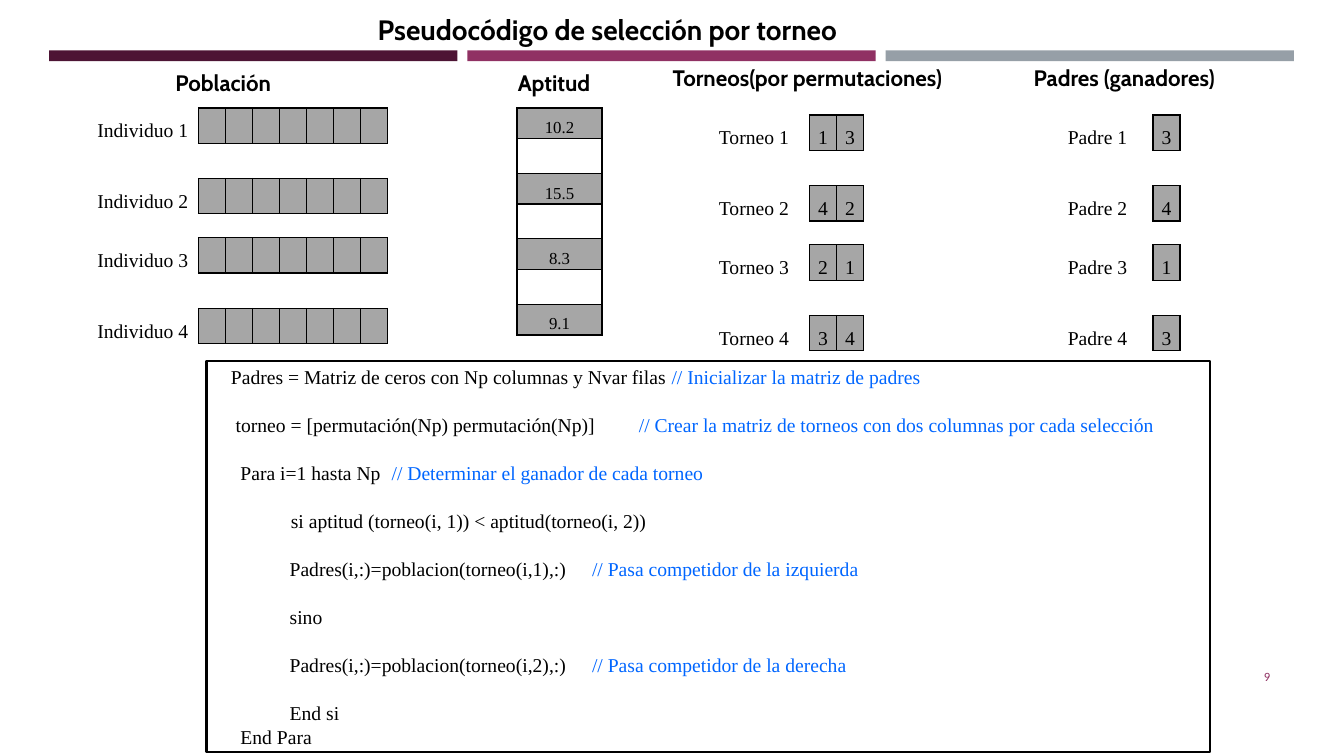
from lxml import etree
from pptx import Presentation
from pptx.dml.color import RGBColor
from pptx.enum.shapes import MSO_SHAPE
from pptx.enum.text import MSO_ANCHOR, PP_ALIGN
from pptx.oxml.ns import qn
from pptx.util import Cm, Pt

RECTANGLE = MSO_SHAPE.RECTANGLE
MIDDLE, TOP = MSO_ANCHOR.MIDDLE, MSO_ANCHOR.TOP
LEFT, CENTER, RIGHT = PP_ALIGN.LEFT, PP_ALIGN.CENTER, PP_ALIGN.RIGHT

BLACK = RGBColor(0x00, 0x00, 0x00)
WHITE = RGBColor(0xFF, 0xFF, 0xFF)
GRAY = RGBColor(0xA6, 0xA6, 0xA6)
PLUM = RGBColor(0x4D, 0x14, 0x34)
MAGENTA = RGBColor(0x90, 0x31, 0x63)
STEEL = RGBColor(0x96, 0x9F, 0xA7)
BLUE = RGBColor(0x00, 0x66, 0xFF)

HEADING_FONT, BODY_FONT, NUMBER_FONT = "Cabin", "Times New Roman", "Calibri"
NO_STYLE = "{2D5ABB26-0587-4C30-8999-92F81FD0307C}"

LABEL_WIDTH, GENE_WIDTH = 2.8, 0.68
GENE_ROWS = [0.89, 0.89, 0.89, 0.6, 0.89, 0.89, 0.89]
FITNESS_ROWS = [0.77, 0.88, 0.77, 0.88, 0.77, 0.88, 0.77]
COMMENT_TAB = 11.55
BLOCK_GAP = 17.5

# Indent in cm, code, comment, space after in points
PSEUDOCODE = [
    (0.37, "Padres = Matriz de ceros con Np columnas y Nvar filas ",
     "// Inicializar la matriz de padres", BLOCK_GAP),
    (0.49, "torneo = [permutación(Np) permutación(Np)]",
     "// Crear la matriz de torneos con dos columnas por cada selección", BLOCK_GAP),
    (0.61, "Para i=1 hasta Np", "// Determinar el ganador de cada torneo", BLOCK_GAP),
    (1.88, "si aptitud (torneo(i, 1)) < aptitud(torneo(i, 2))", "", BLOCK_GAP),
    (1.85, "Padres(i,:)=poblacion(torneo(i,1),:)",
     "// Pasa competidor de la izquierda", BLOCK_GAP),
    (1.85, "sino", "", BLOCK_GAP),
    (1.85, "Padres(i,:)=poblacion(torneo(i,2),:)",
     "// Pasa competidor de la derecha", BLOCK_GAP),
    (1.85, "End si", "", 0),
    (0.61, "End Para", "", 0),
]


def add_run(paragraph, text, size, font=BODY_FONT, color=BLACK, bold=False):
    run = paragraph.add_run()
    run.text = text
    run.font.size = Pt(size)
    run.font.name = font
    run.font.color.rgb = color
    run.font.bold = bold


def add_text(slide, box, text, size, font=HEADING_FONT, color=BLACK, bold=True,
             align=LEFT, anchor=TOP, line_spacing=1.0):
    frame = slide.shapes.add_textbox(*map(Cm, box)).text_frame
    frame.word_wrap = True
    frame.vertical_anchor = anchor
    paragraph = frame.paragraphs[0]
    paragraph.alignment = align
    paragraph.line_spacing = line_spacing
    add_run(paragraph, text, size, font, color, bold)


def add_rectangle(slide, box, fill):
    shape = slide.shapes.add_shape(RECTANGLE, *map(Cm, box))
    shape.shadow.inherit = False
    shape.fill.solid()
    shape.fill.fore_color.rgb = fill
    shape.line.fill.background()
    return shape


def set_borders(cell, sides):
    properties = cell._tc.get_or_add_tcPr()
    position = 0
    for side in ("L", "R", "T", "B"):
        if side in sides:
            line = etree.Element(qn(f"a:ln{side}"), w=str(Pt(1)))
            fill = etree.SubElement(line, qn("a:solidFill"))
            etree.SubElement(fill, qn("a:srgbClr"), val=str(BLACK))
            properties.insert(position, line)
            position += 1


def style_cell(cell, text, fill, borders, size):
    cell.margin_left = cell.margin_right = Cm(0.17)
    cell.margin_top = cell.margin_bottom = 0
    cell.vertical_anchor = MIDDLE
    if fill is None:
        cell.fill.background()
    else:
        cell.fill.solid()
        cell.fill.fore_color.rgb = fill
    set_borders(cell, borders)
    paragraph = cell.text_frame.paragraphs[0]
    paragraph.font.size = Pt(size)
    if text:
        paragraph.alignment = CENTER
        paragraph.line_spacing = 1.5
        paragraph.space_after = Pt(12)
        add_run(paragraph, text, size)


def add_plain_table(slide, left, top, widths, heights):
    frame = slide.shapes.add_table(len(heights), len(widths), Cm(left), Cm(top),
                                   Cm(sum(widths)), Cm(sum(heights)))
    table = frame.table
    table.first_row = table.horz_banding = False
    table._tbl.tblPr.find(qn("a:tableStyleId")).text = NO_STYLE
    for column, width in zip(table.columns, widths):
        column.width = Cm(width)
    for row, height in zip(table.rows, heights):
        row.height = Cm(height)
    return table


def add_gene_table(slide, left, top, label, rows):
    """Labelled rows of gray boxes, with an open row between each pair."""
    count = len(rows[0])
    widths = [LABEL_WIDTH] + [GENE_WIDTH] * count
    table = add_plain_table(slide, left, top, widths, GENE_ROWS)
    for number, values in enumerate(rows):
        row = 2 * number
        style_cell(table.cell(row, 0), f"{label} {number + 1}", WHITE, "R", 14)
        for column, value in enumerate(values, start=1):
            style_cell(table.cell(row, column), value, GRAY, "LRTB", 14)
        if number < len(rows) - 1:
            style_cell(table.cell(row + 1, 0), "", WHITE, "", 10)
            for column in range(1, count + 1):
                style_cell(table.cell(row + 1, column), "", None, "TB", 10)
            if count > 1:
                table.cell(row + 1, 1).merge(table.cell(row + 1, count))


def add_fitness_table(slide, left, top, values):
    table = add_plain_table(slide, left, top, [2.14], FITNESS_ROWS)
    for row in range(len(FITNESS_ROWS)):
        filled = row % 2 == 0
        style_cell(table.cell(row, 0), values[row // 2] if filled else "",
                   GRAY if filled else None, "LRTB", 12)


def add_pseudocode(slide, box):
    shape = add_rectangle(slide, box, WHITE)
    shape.line.color.rgb = BLACK
    shape.line.width = Pt(1.75)
    frame = shape.text_frame
    frame.word_wrap = True
    frame.vertical_anchor = MIDDLE
    for index, (indent, code, comment, gap) in enumerate(PSEUDOCODE):
        paragraph = frame.add_paragraph() if index else frame.paragraphs[0]
        paragraph.alignment = LEFT
        paragraph.space_after = Pt(gap)
        properties = paragraph._p.get_or_add_pPr()
        properties.set("marL", str(Cm(indent)))
        properties.set("indent", "0")
        add_run(paragraph, code, 14)
        if comment:
            if not code.endswith(" "):
                tabs = etree.SubElement(properties, qn("a:tabLst"))
                etree.SubElement(tabs, qn("a:tab"), pos=str(Cm(COMMENT_TAB)), algn="l")
                add_run(paragraph, "\t", 14)
            add_run(paragraph, comment, 14, color=BLUE)


def main():
    presentation = Presentation()
    presentation.slide_width, presentation.slide_height = Cm(33.87), Cm(19.05)
    slide = presentation.slides.add_slide(presentation.slide_layouts[6])

    # Title, colour bars and page number
    for index, color in enumerate((PLUM, MAGENTA, STEEL)):
        add_rectangle(slide, (1.24 + 10.54 * index, 1.27, 10.29, 0.27), color)
    add_text(slide, (9.27, 0.13, 17.8, 1.1), "Pseudocódigo de selección por torneo", 20,
             line_spacing=1.07)
    add_text(slide, (29.34, 16.54, 2.92, 1.02), "9", 9, NUMBER_FONT, MAGENTA, False,
             RIGHT, MIDDLE)

    # Pseudocode
    add_pseudocode(slide, (5.2, 9.1, 25.3, 9.85))

    # Column headings
    for left, top, width, heading in (
            (4.17, 1.63, 3.56, "Población"), (12.8, 1.63, 2.64, "Aptitud"),
            (16.7, 1.5, 8.66, "Torneos(por permutaciones)"),
            (25.8, 1.5, 7.8, "Padres (ganadores)")):
        add_text(slide, (left, top, width, 0.94), heading, 16)

    # Tables
    add_gene_table(slide, 2.2, 2.72, "Individuo", [[""] * 7] * 4)
    add_fitness_table(slide, 13.03, 2.72, ["10.2", "15.5", "8.3", "9.1"])
    add_gene_table(slide, 17.6, 2.9, "Torneo", ["13", "42", "21", "34"])
    add_gene_table(slide, 26.26, 2.9, "Padre", ["3", "4", "1", "3"])

    presentation.save("out.pptx")


if __name__ == "__main__":
    main()
